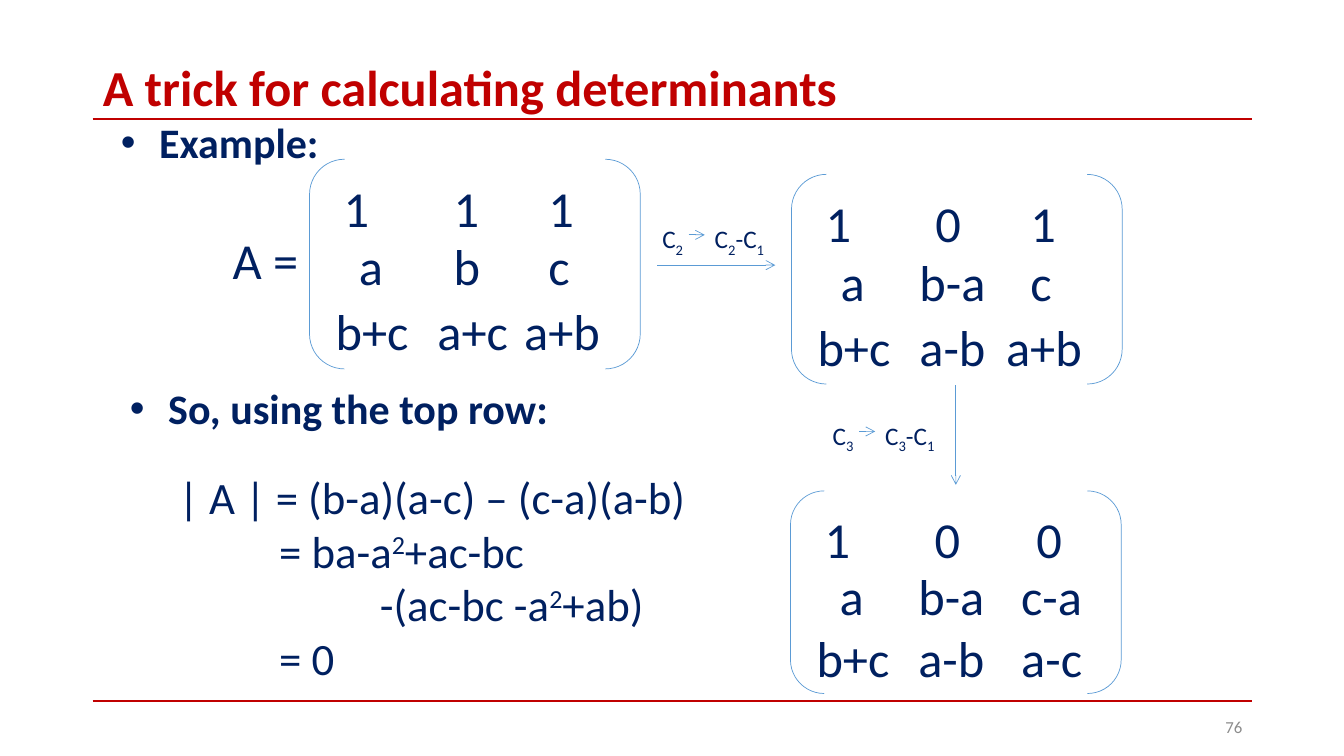
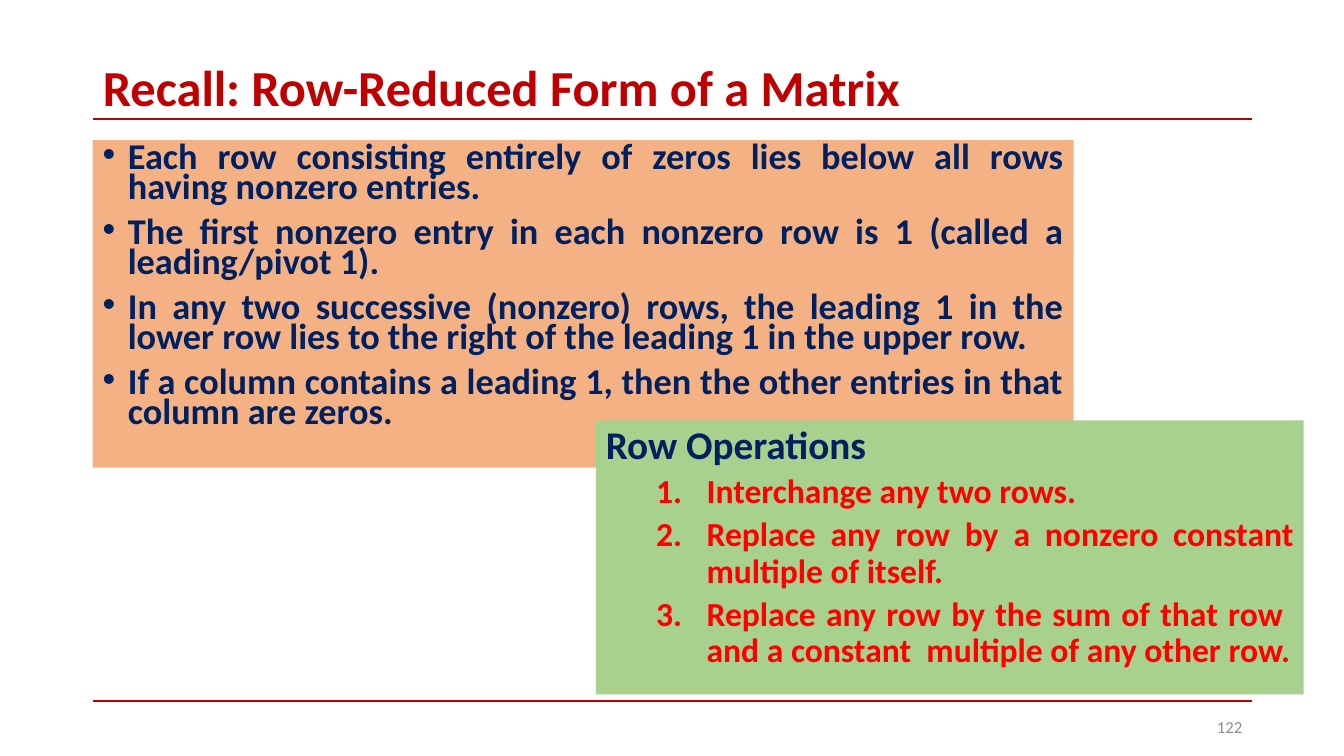
from lxml import etree
from pptx import Presentation
from pptx.dml.color import RGBColor
from pptx.enum.shapes import MSO_CONNECTOR, MSO_SHAPE
from pptx.enum.text import MSO_ANCHOR, MSO_AUTO_SIZE, PP_ALIGN
from pptx.oxml.ns import qn
from pptx.util import Inches, Pt

STRAIGHT = MSO_CONNECTOR.STRAIGHT
BRACKETS, RECTANGLE = MSO_SHAPE.DOUBLE_BRACKET, MSO_SHAPE.RECTANGLE
TOP, MIDDLE = MSO_ANCHOR.TOP, MSO_ANCHOR.MIDDLE
LEFT, RIGHT, JUSTIFY = PP_ALIGN.LEFT, PP_ALIGN.RIGHT, PP_ALIGN.JUSTIFY
NO_AUTOFIT = MSO_AUTO_SIZE.NONE

CRIMSON = RGBColor(0xC0, 0x00, 0x00)
NAVY = RGBColor(0x00, 0x20, 0x60)
BLUE = RGBColor(0x5B, 0x9B, 0xD5)
GRAY = RGBColor(0x8C, 0x8C, 0x8C)
RED = RGBColor(0xFF, 0x00, 0x00)
PEACH = RGBColor(0xF4, 0xB1, 0x83)
GREEN = RGBColor(0xA9, 0xD1, 0x8E)

FONT = "Calibri"
MARGIN, CONTENT_WIDTH = 0.92, 11.5
RULE_TOPS = (1.18, 6.95)
MATRIX_WIDTH, ENTRY_HEIGHT = 3.28, 0.71
ROW_TOPS = (0.06, 0.34, 0.65)

CONDITIONS = (
    "Each row consisting entirely of zeros lies below all rows having nonzero entries.",
    "The first nonzero entry in each nonzero row is 1 (called a leading/pivot 1).",
    "In any two successive (nonzero) rows, the leading 1 in the lower row lies to the right "
    "of the leading 1 in the upper row.",
    "If a column contains a leading 1, then the other entries in that column are zeros.",
)
OPERATIONS = (
    "Interchange any two rows.",
    "Replace any row by a nonzero constant multiple of itself.",
    "Replace any row by the sum of that row  and a constant  multiple of any other row.",
)


def style(para, size, color=NAVY, bold=False, align=LEFT, spacing=None, before=0):
    """Format a paragraph and all of its runs."""
    para.alignment = align
    para.space_before = Pt(before)
    if spacing:
        para.line_spacing = spacing
    for span in para.runs:
        span.font.name = FONT
        span.font.size = Pt(size)
        span.font.bold = bold
        span.font.color.rgb = color


def indent(para, margin, hanging=0):
    """Set the left margin and the hanging indent of a paragraph."""
    properties = para._p.get_or_add_pPr()
    properties.set("marL", str(Inches(margin)))
    properties.set("indent", str(-Inches(hanging)))
    return properties


def add_bullet(para, margin):
    """Give a paragraph a round bullet."""
    properties = indent(para, margin, margin)
    etree.SubElement(properties, qn("a:buFont"), typeface="Arial")
    etree.SubElement(properties, qn("a:buChar"), char="•")


def add_number(para, margin, hanging):
    """Number a paragraph automatically."""
    properties = indent(para, margin, hanging)
    etree.SubElement(properties, qn("a:buAutoNum"), type="arabicPeriod")


def add_paragraph(frame, index):
    """Return the first paragraph of a frame, or a new one after it."""
    return frame.add_paragraph() if index else frame.paragraphs[0]


def add_text(page, box, text, size, wrap=True, anchor=TOP, **look):
    """Place a one-paragraph text box and return its paragraph."""
    frame = page.shapes.add_textbox(*map(Inches, box)).text_frame
    frame.word_wrap = wrap
    frame.vertical_anchor = anchor
    frame.text = text
    style(frame.paragraphs[0], size, **look)
    return frame.paragraphs[0]


def fill_spans(para, spans, baseline):
    """Add spans to a paragraph, shifting every second one off the baseline."""
    for index, text in enumerate(spans):
        span = para.add_run()
        span.text = text
        if index % 2:
            span.font._element.set("baseline", str(baseline))


def add_line(page, start, end, color, width, arrow=False):
    """Draw a straight line, with an open arrowhead if asked."""
    line = page.shapes.add_connector(STRAIGHT, *map(Inches, (*start, *end)))
    line.line.color.rgb = color
    line.line.width = Pt(width)
    properties = line._element.spPr
    if arrow:
        etree.SubElement(properties.find(qn("a:ln")), qn("a:tailEnd"), type="arrow")
    etree.SubElement(properties, qn("a:effectLst"))


def add_arrow(page, start, end):
    """Draw a thin blue arrow."""
    add_line(page, start, end, BLUE, 0.5, arrow=True)


def add_panel(page, box, color):
    """Place a filled rectangle and return its text frame."""
    panel = page.shapes.add_shape(RECTANGLE, *map(Inches, box))
    panel.shadow.inherit = False
    panel.fill.solid()
    panel.fill.fore_color.rgb = color
    panel.line.fill.background()
    panel.text_frame.word_wrap = True
    panel.text_frame.vertical_anchor = TOP
    return panel.text_frame


def add_page(deck, title, number):
    """Start a slide with its title, two rules and page number."""
    page = deck.slides.add_slide(deck.slide_layouts[5])
    for top in RULE_TOPS:
        add_line(page, (MARGIN, top), (MARGIN + CONTENT_WIDTH, top), CRIMSON, 1.5)
    heading = page.shapes.title
    heading.left, heading.top = Inches(MARGIN), Inches(0.61)
    heading.width, heading.height = Inches(CONTENT_WIDTH), Inches(0.58)
    frame = heading.text_frame
    frame.text = title
    frame.auto_size = NO_AUTOFIT
    frame.vertical_anchor = MIDDLE
    style(frame.paragraphs[0], 36, CRIMSON, bold=True, spacing=0.9)
    add_text(page, (9.42, 7.01, 3, 0.4), number, 12, anchor=MIDDLE, color=GRAY, align=RIGHT)
    return page


def add_matrix(page, left, top, height, rows):
    """Place a bracketed matrix whose rows hold entries and their offsets."""
    box = map(Inches, (left, top, MATRIX_WIDTH, height))
    brackets = page.shapes.add_shape(BRACKETS, *box)
    brackets.shadow.inherit = False
    brackets.fill.background()
    brackets.line.color.rgb = BLUE
    brackets.line.width = Pt(0.5)
    for row, share in zip(rows, ROW_TOPS):
        for text, offset in row:
            entry = (left + offset, top + share * height, 1.09, ENTRY_HEIGHT)
            add_text(page, entry, text, 36, wrap=False)


def add_column_step(page, left, top, column):
    """Label a step that subtracts the first column from another."""
    labels = ((0, 0.42, ("C", column)), (0.52, 0.72, ("C", column, "-C", "1")))
    for offset, width, spans in labels:
        para = add_text(page, (left + offset, top, width, 0.4), "", 18, wrap=False)
        fill_spans(para, spans, -25000)
        style(para, 18)
    add_arrow(page, (left + 0.36, top + 0.16), (left + 0.52, top + 0.16))


def add_heading(page, box, text):
    """Place a bold bulleted heading."""
    para = add_text(page, box, text, 30, bold=True, before=6)
    add_bullet(para, 0.38)


def add_expansion(page, box):
    """Place the lines that work out the determinant."""
    lines = (
        (0, ("| A | = (b-a)(a-c) – (c-a)(a-b)",)),
        (1, ("= ba-a", "2", "+ac-bc")),
        (2, ("-(ac-bc -a", "2", "+ab)")),
        (1, ("= 0",)),
    )
    frame = page.shapes.add_textbox(*map(Inches, box)).text_frame
    frame.word_wrap = True
    for index, (margin, spans) in enumerate(lines):
        para = add_paragraph(frame, index)
        fill_spans(para, spans, 30000)
        style(para, 32)
        indent(para, margin)


def build_determinant_page(deck):
    """Build the slide that simplifies a determinant by column steps."""
    page = add_page(deck, "A trick for calculating determinants", "76")
    add_heading(page, (1.1, 1.11, 2.42, 0.58), "Example:")
    add_text(page, (2.21, 2.22, 0.86, ENTRY_HEIGHT), "A =", 36, wrap=False)
    add_matrix(page, 3.07, 1.58, 2.08, (
        (("1", 0.24), ("1", 1.33), ("1", 2.27)),
        (("a", 0.39), ("b", 1.33), ("c", 2.27)),
        (("b+c", 0.16), ("a+c", 1.17), ("a+b", 2.03)),
    ))
    add_column_step(page, 6.47, 2.17, "2")
    add_arrow(page, (6.52, 2.63), (7.69, 2.63))
    add_matrix(page, 7.85, 1.73, 2.08, (
        (("1", 0.24), ("0", 1.33), ("1", 2.27)),
        (("a", 0.39), ("b-a", 1.17), ("c", 2.27)),
        (("b+c", 0.16), ("a-b", 1.17), ("a+b", 2.03)),
    ))
    add_column_step(page, 8.16, 4.12, "3")
    add_arrow(page, (9.48, 3.82), (9.48, 4.81))
    add_matrix(page, 7.84, 4.87, 2.01, (
        (("1", 0.24), ("0", 1.33), ("0", 2.34)),
        (("a", 0.39), ("b-a", 1.17), ("c-a", 2.19)),
        (("b+c", 0.16), ("a-b", 1.17), ("a-c", 2.19)),
    ))
    add_heading(page, (1.19, 3.75, 4.77, 0.7), "So, using the top row:")
    add_expansion(page, (1.67, 4.61, 5.86, 2.3))


def add_conditions(page, box):
    """Place the panel of row-reduced conditions."""
    frame = add_panel(page, box, PEACH)
    for index, text in enumerate(CONDITIONS):
        para = add_paragraph(frame, index)
        para.text = text
        style(para, 25.9, bold=True, align=JUSTIFY, spacing=0.7, before=10)
        add_bullet(para, 0.25)


def add_operations(page, box):
    """Place the panel of numbered row operations."""
    frame = add_panel(page, box, GREEN)
    frame.text = "Row Operations"
    style(frame.paragraphs[0], 28, bold=True, align=JUSTIFY, spacing=0.9, before=10)
    for text in OPERATIONS:
        para = frame.add_paragraph()
        para.text = text
        para.level = 1
        style(para, 24, RED, bold=True, align=JUSTIFY, spacing=0.9, before=5)
        add_number(para, 1, 0.5)


def build_row_reduced_page(deck):
    """Build the slide on row-reduced form and row operations."""
    page = add_page(deck, "Recall: Row-Reduced Form of a Matrix", "122")
    add_conditions(page, (MARGIN, 1.39, 9.73, 3.25))
    add_operations(page, (5.91, 4.17, 7.02, 2.72))


def main():
    """Build and save the deck."""
    deck = Presentation()
    deck.slide_width, deck.slide_height = Inches(13.33), Inches(7.5)
    build_determinant_page(deck)
    build_row_reduced_page(deck)
    deck.save("out.pptx")


if __name__ == "__main__":
    main()
